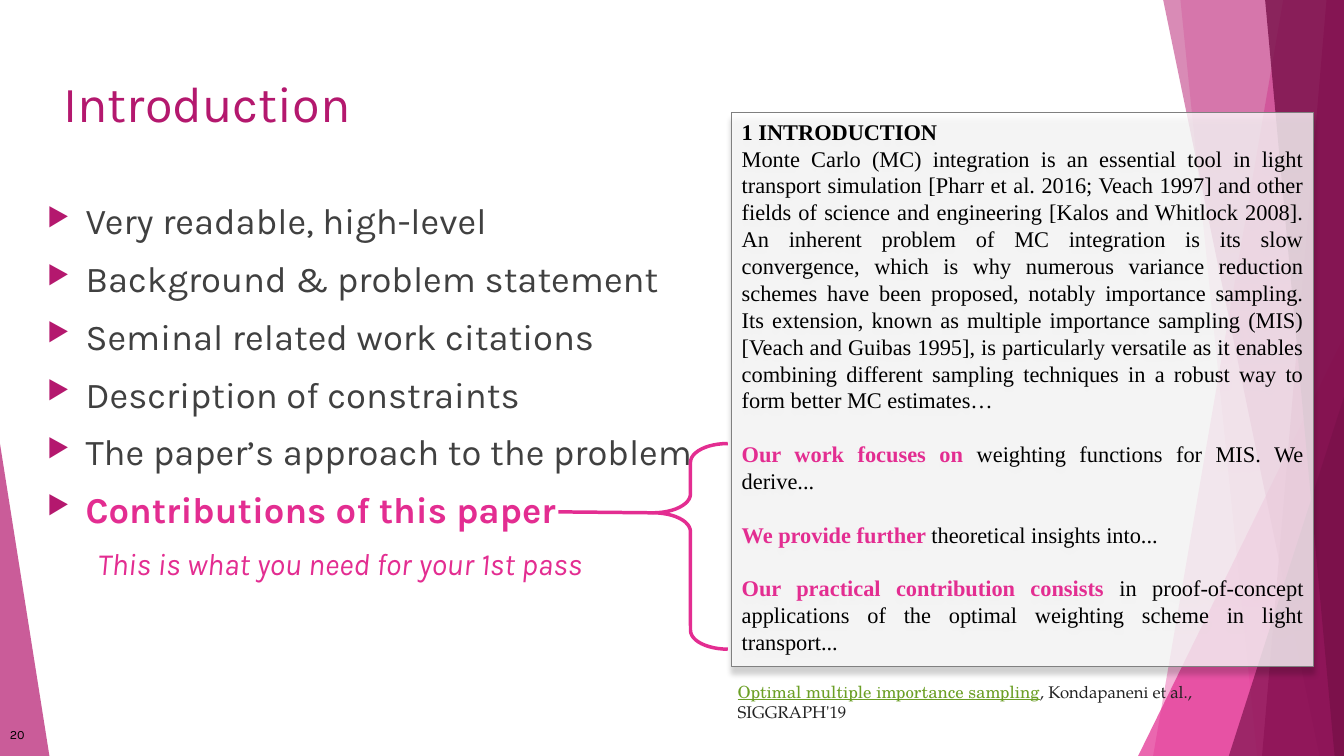
from dataclasses import dataclass

from lxml.etree import SubElement
from pptx import Presentation
from pptx.dml.color import RGBColor
from pptx.enum.shapes import MSO_CONNECTOR, MSO_SHAPE
from pptx.enum.text import MSO_ANCHOR, PP_ALIGN
from pptx.oxml.ns import qn
from pptx.util import Inches, Pt


@dataclass(frozen=True)
class Theme:
    """Colours, fonts and type sizes of the talk."""
    pink: str = "E32D91"
    magenta: str = "B4186E"
    plum: str = "781049"
    body_ink: str = "404040"
    citation_ink: str = "222222"
    link: str = "6B9F25"
    frame: str = "808080"
    black: str = "000000"
    white: str = "FFFFFF"
    sans: str = "Karla"
    paper: str = "Times New Roman"
    link_face: str = "TeX Gyre Schola"
    citation_face: str = "TeX Gyre Pagella"
    title: int = 36
    bullet: int = 26
    aside: int = 22
    excerpt: int = 16
    citation: int = 12
    number: int = 9
    leading: float = 1.2


THEME = Theme()
WIDTH, HEIGHT = Inches(13.33), Inches(7.5)

POINTS = ["Very readable, high-level", "Background & problem statement",
          "Seminal related work citations", "Description of constraints",
          "The paper’s approach to the problem"]
ABSTRACT = (
    "Monte Carlo (MC) integration is an essential tool in light transport simulation "
    "[Pharr et al. 2016; Veach 1997] and other fields of science and engineering "
    "[Kalos and Whitlock 2008]. An inherent problem of MC integration is its slow "
    "convergence, which is why numerous variance reduction schemes have been proposed, "
    "notably importance sampling. Its extension, known as multiple importance sampling "
    "(MIS) [Veach and Guibas 1995], is particularly versatile as it enables combining "
    "different sampling techniques in a robust way to form better MC estimates…")
CONTRIBUTIONS = [
    ("Our work focuses on ", "weighting functions for MIS. We derive..."),
    ("We provide further ", "theoretical insights into..."),
    ("Our practical contribution consists ",
     "in proof-of-concept applications of the optimal weighting scheme in light transport..."),
]


def across(share):
    """Turn a percentage of the slide width into a length."""
    return round(WIDTH * share / 100)


def down(share):
    """Turn a percentage of the slide height into a length."""
    return round(HEIGHT * share / 100)


def place(box):
    """Turn a box in percentages of the slide into four lengths."""
    left, top, width, height = box
    return across(left), down(top), across(width), down(height)


def paint(shape, color, opacity):
    """Fill a shape with a translucent colour and no shadow."""
    shape.shadow.inherit = False
    shape.fill.solid()
    shape.fill.fore_color.rgb = RGBColor.from_string(color)
    tint = shape.fill._xPr.find(qn("a:solidFill"))[0]
    SubElement(tint, qn("a:alpha"), val=str(opacity * 1000))


def stroke(line, color, width):
    """Give a line its colour and width."""
    line.color.rgb = RGBColor.from_string(color)
    line.width = Pt(width)


def write(paragraph, size, runs, **layout):
    """Set a paragraph from (text, formats) runs and layout values."""
    for name, value in {"line_spacing": Pt(size * THEME.leading), **layout}.items():
        setattr(paragraph, name, value)
    for words, formats in runs:
        run = paragraph.add_run()
        run.text = words
        values = {"size": Pt(size), "name": THEME.sans, **formats}
        run.font.color.rgb = RGBColor.from_string(values.pop("color"))
        for name, value in values.items():
            setattr(run.font, name, value)


def next_paragraph(frame):
    """Return the empty first paragraph, or a new one."""
    first = frame.paragraphs[0]
    return frame.add_paragraph() if first.runs else first


def text_area(slide, box, anchor=MSO_ANCHOR.TOP):
    """Add a wrapping text box and return its frame."""
    frame = slide.shapes.add_textbox(*place(box)).text_frame
    frame.word_wrap = True
    frame.vertical_anchor = anchor
    return frame


def mark(paragraph, indent):
    """Give a paragraph a hanging triangular bullet."""
    props = paragraph._p.get_or_add_pPr()
    props.set("marL", str(Inches(indent)))
    props.set("indent", str(-Inches(indent)))
    SubElement(SubElement(props, qn("a:buClr")), qn("a:srgbClr"), val=THEME.magenta)
    SubElement(props, qn("a:buSzPct"), val="70000")
    SubElement(props, qn("a:buChar"), char="▶")


def facet_band(slide, upper, lower, color, opacity):
    """Draw a full-height facet between a slanted edge and the right side."""
    outline = slide.shapes.build_freeform(across(upper), 0)
    outline.add_line_segments([(WIDTH, 0), (WIDTH, HEIGHT), (across(lower), HEIGHT)])
    band = outline.convert_to_shape()
    paint(band, color, opacity)
    band.line.fill.background()


def facet_corner(slide, left, top, width, apex, color, opacity):
    """Draw a right-angled facet standing on the bottom edge."""
    corner = slide.shapes.add_shape(MSO_SHAPE.ISOSCELES_TRIANGLE,
                                    *place((left, top, width, 100 - top)))
    corner.adjustments[0] = apex
    paint(corner, color, opacity)
    corner.line.fill.background()


def backdrop(slide):
    """Layer the coloured facets along both sides."""
    facet_band(slide, 95.48, 85.8, THEME.pink, 36)
    facet_band(slide, 87.83, 93.53, THEME.pink, 20)
    facet_corner(slide, 84.68, 44.53, 15.32, 1, THEME.pink, 72)
    facet_band(slide, 86.55, 98.18, THEME.magenta, 50)
    facet_band(slide, 98.7, 93.9, THEME.magenta, 70)
    facet_band(slide, 94.13, 99.3, THEME.plum, 80)
    facet_corner(slide, 91.43, 52.53, 8.57, 1, THEME.plum, 66)
    facet_corner(slide, 0, 58.67, 3.68, 0, THEME.magenta, 70)


def heading(slide, box):
    """Write the slide title."""
    write(text_area(slide, box).paragraphs[0], THEME.title,
          [("Introduction", {"color": THEME.magenta})])


def reading_points(slide, box):
    """List what an introduction holds, ending with the highlighted point."""
    frame = text_area(slide, box)
    plain = {"color": THEME.body_ink}
    strong = {"color": THEME.pink, "bold": True}
    points = [(point, plain) for point in POINTS] + [("Contributions of this paper", strong)]
    for order, point in enumerate(points):
        paragraph = next_paragraph(frame)
        mark(paragraph, 0.38)
        write(paragraph, THEME.bullet, [point], space_before=Pt(10 if order else 0))
    aside = frame.add_paragraph()
    aside._p.get_or_add_pPr().set("marL", str(Inches(0.5)))
    write(aside, THEME.aside, [("This is what you need for your 1st pass",
                                {"color": THEME.pink, "italic": True})], space_before=Pt(10))


def paper_excerpt(slide, box):
    """Show the quoted introduction on a shaded panel."""
    panel = slide.shapes.add_shape(MSO_SHAPE.RECTANGLE, *place(box))
    paint(panel, THEME.white, 78)
    stroke(panel.line, THEME.frame, 0.75)
    shade = SubElement(panel._element.spPr.find(qn("a:effectLst")), qn("a:outerShdw"),
                       blurRad=str(Pt(4)), dist=str(Pt(5)), dir="5400000", rotWithShape="0")
    SubElement(SubElement(shade, qn("a:srgbClr"), val=THEME.black), qn("a:alpha"), val="23000")
    frame = panel.text_frame
    frame.word_wrap = True
    frame.vertical_anchor = MSO_ANCHOR.TOP
    plain = {"name": THEME.paper, "color": THEME.black}
    strong = {**plain, "bold": True}
    accent = {**strong, "color": THEME.pink}
    passages = [([("1 INTRODUCTION", strong)], 0), ([(ABSTRACT, plain)], 0)]
    passages += [([(lead, accent), (rest, plain)], THEME.excerpt * THEME.leading)
                 for lead, rest in CONTRIBUTIONS]
    for runs, gap in passages:
        write(next_paragraph(frame), THEME.excerpt, runs,
              alignment=PP_ALIGN.JUSTIFY, space_before=Pt(gap))


def citation(slide, box):
    """Credit the quoted paper."""
    write(text_area(slide, box).paragraphs[0], THEME.citation, [
        ("Optimal multiple importance sampling",
         {"name": THEME.link_face, "color": THEME.link, "underline": True}),
        (", Kondapaneni et al., SIGGRAPH'19",
         {"name": THEME.citation_face, "color": THEME.citation_ink})])


def contribution_brace(slide, box, reach):
    """Tie the highlighted point to its passages with a brace and a leader."""
    left, top, _, height = box
    brace = slide.shapes.add_shape(MSO_SHAPE.LEFT_BRACE, *place(box))
    brace.adjustments[0], brace.adjustments[1] = 0.253, 0.337
    brace.shadow.inherit = False
    brace.fill.background()
    tip = top + height * 0.337
    leader = slide.shapes.add_connector(MSO_CONNECTOR.STRAIGHT, across(left), down(tip),
                                        across(left - reach), down(tip - 0.13))
    SubElement(leader._element.spPr, qn("a:effectLst"))
    for part in (brace, leader):
        stroke(part.line, THEME.pink, 2.5)


def page_number(slide, box):
    """Write the slide number."""
    write(text_area(slide, box, MSO_ANCHOR.MIDDLE).paragraphs[0], THEME.number,
          [("20", {"color": THEME.black})])


def main():
    """Build the slide and save it."""
    deck = Presentation()
    deck.slide_width, deck.slide_height = WIDTH, HEIGHT
    slide = deck.slides.add_slide(deck.slide_layouts[6])
    backdrop(slide)
    heading(slide, (3.98, 8.93, 50.18, 10.27))
    reading_points(slide, (2.78, 25.6, 54.45, 65.33))
    paper_excerpt(slide, (54.45, 14.93, 43.28, 73.2))
    citation(slide, (54.15, 89.47, 43.58, 4))
    contribution_brace(slide, (48.6, 58.67, 5.55, 27.2), 7.05)
    page_number(slide, (0, 94.53, 5.63, 5.33))
    deck.save("out.pptx")


if __name__ == "__main__":
    main()
